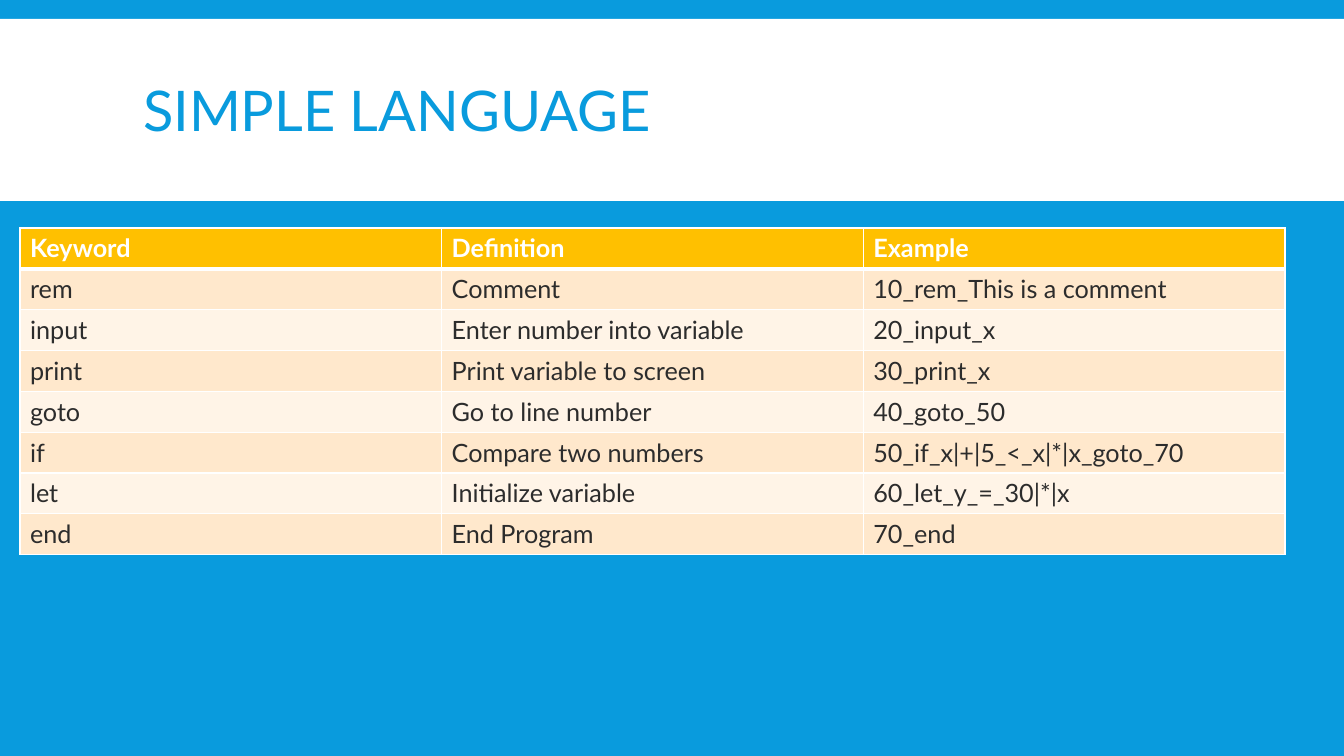
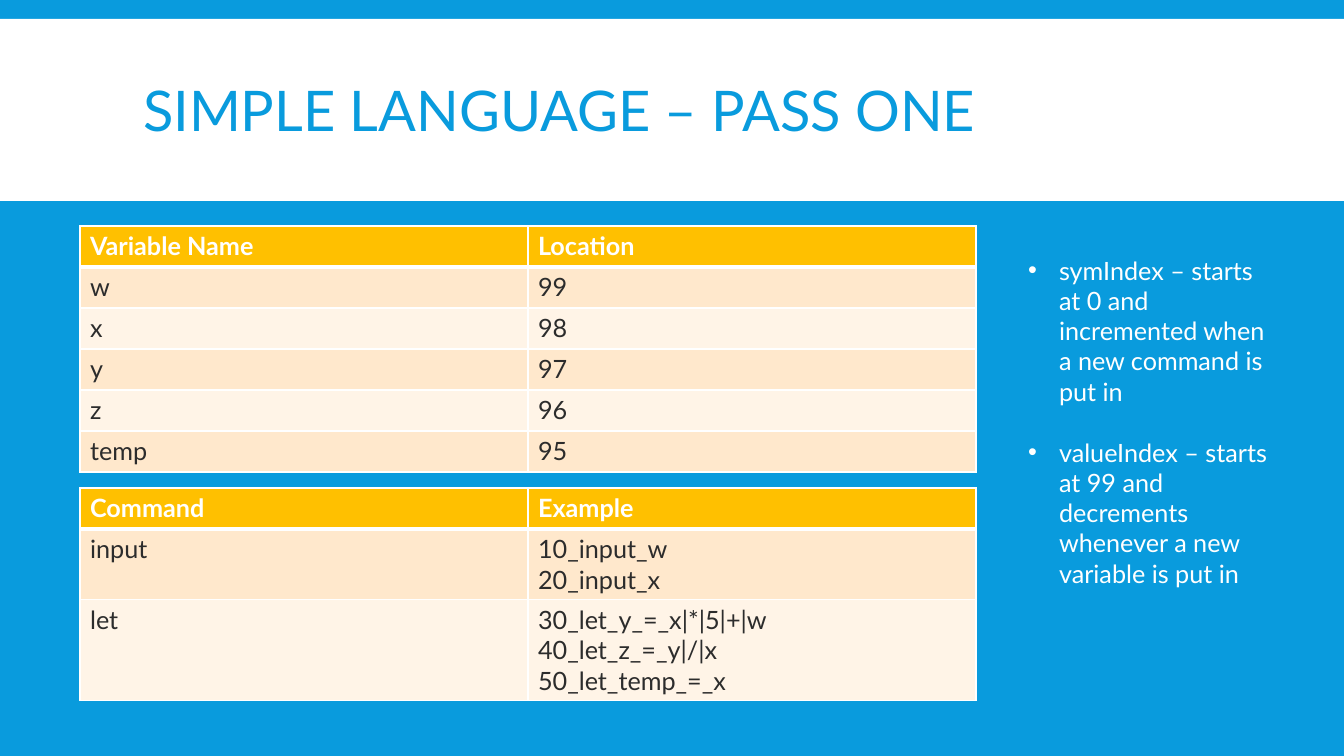
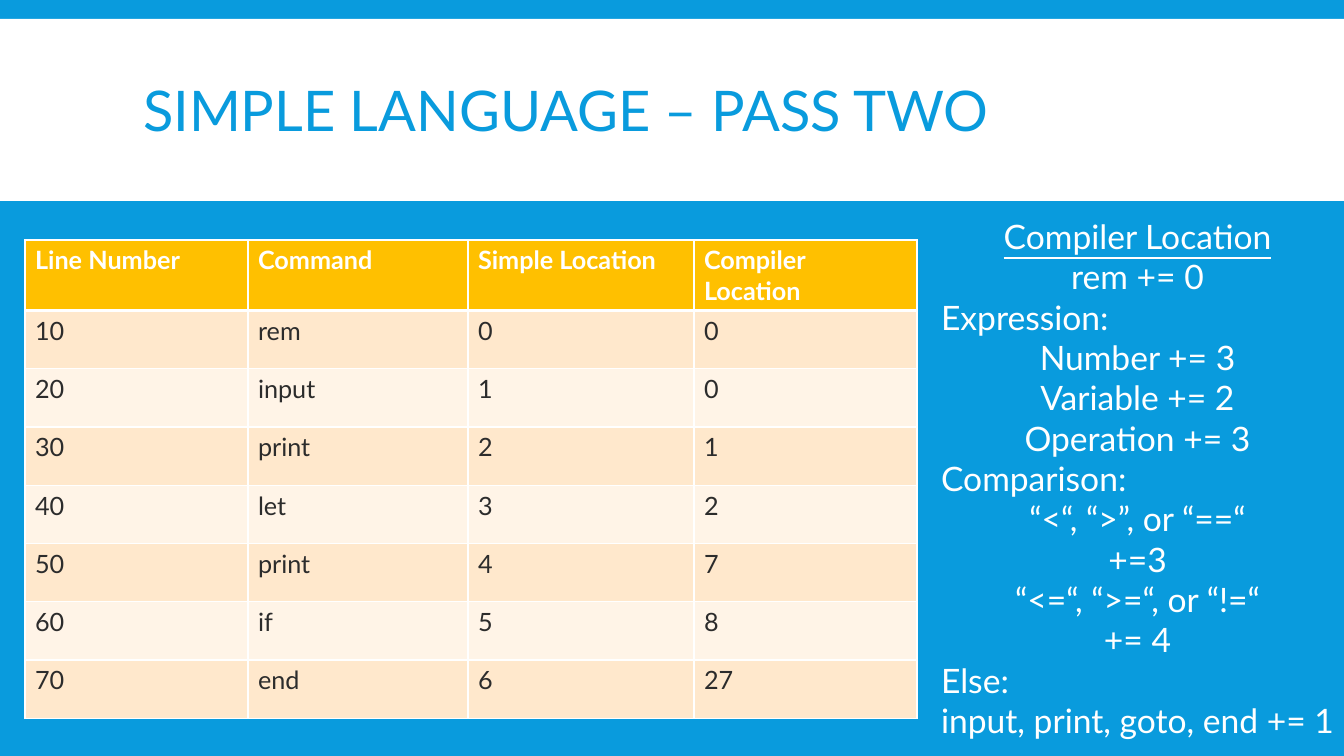
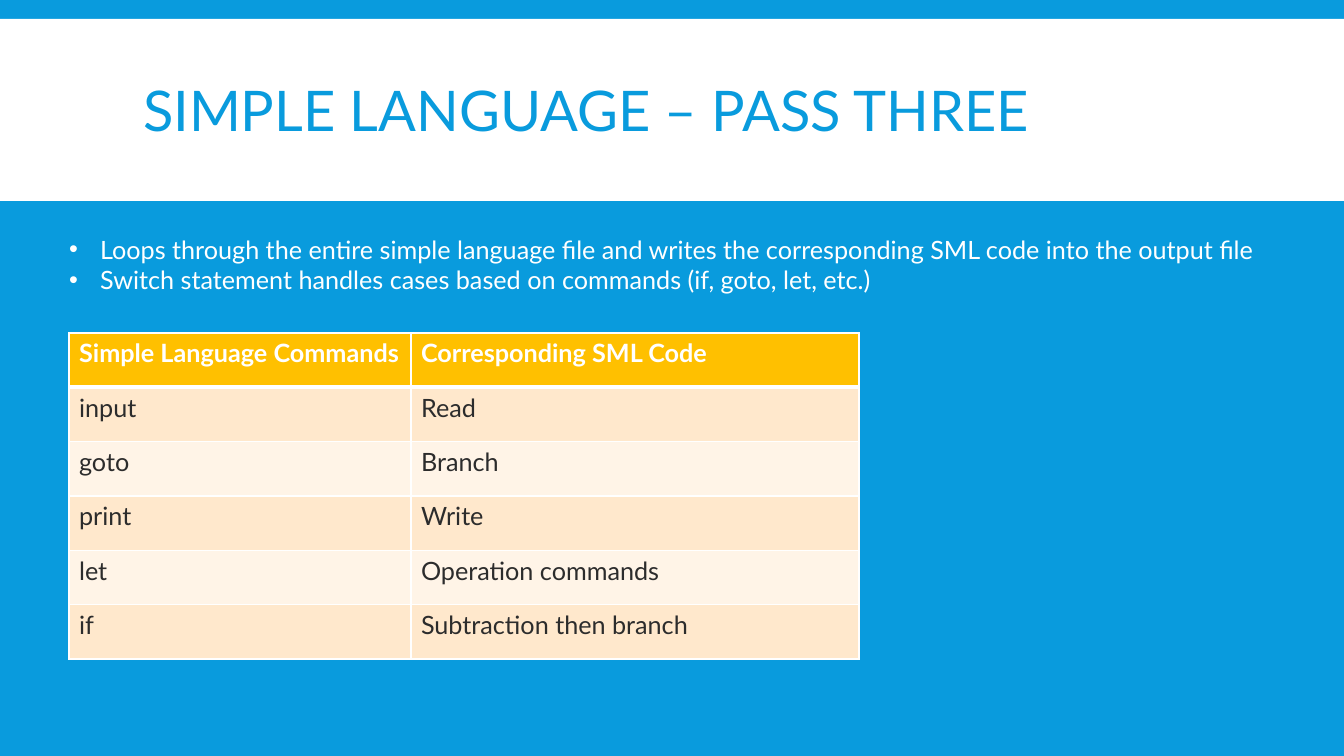
from lxml.etree import SubElement
from pptx import Presentation
from pptx.dml.color import RGBColor
from pptx.enum.shapes import MSO_SHAPE
from pptx.enum.text import MSO_ANCHOR, MSO_AUTO_SIZE, PP_ALIGN
from pptx.oxml.ns import qn
from pptx.util import Pt

SCALE = 914400 / 100.8
WIDE, HIGH = 1344, 756
COLORS = {"blue": "099BDD", "white": "FFFFFF", "gold": "FFC000",
          "peach": "FFE8CC", "cream": "FFF4E7", "ink": "2C2C2C"}
TITLE = {"size": Pt(40), "color": "blue"}
HEAD = {"size": Pt(18), "color": "white", "bold": True}
CELL = {"size": Pt(18), "color": "ink", "bold": False}
LIST = {"size": Pt(18), "color": "white"}
NOTE = {"size": Pt(24), "color": "white"}
TITLE_ONLY, WITH_BODY = 5, 1
INDENT = 31


def px(n):
    return round(n * SCALE)


def rgb(name):
    return RGBColor.from_string(COLORS[name])


def place(shape, box):
    for key, n in zip(("left", "top", "width", "height"), box):
        setattr(shape, key, px(n))


def style(para, form):
    for run in para.runs:
        run.font.name = "Lato"
        for key, value in form.items():
            if key == "color":
                run.font.color.rgb = rgb(value)
            else:
                setattr(run.font, key, value)


# Shared background and white title band, kept on the master
def brand(deck, slide):
    master = deck.slide_master
    master.background.fill.solid()
    master.background.fill.fore_color.rgb = rgb("blue")
    band = slide.shapes.add_shape(MSO_SHAPE.RECTANGLE, 0, 0, 0, 0)
    place(band, (0, 19, WIDE, 182))
    band.shadow.inherit = False
    band.fill.solid()
    band.fill.fore_color.rgb = rgb("white")
    band.line.fill.background()
    master.shapes.element.insert(2, band.element)


# Slide with its title
def page(deck, kind, text):
    slide = deck.slides.add_slide(deck.slide_layouts[kind])
    title = slide.shapes.title
    place(title, (133, 31, 1079, 166))
    frame = title.text_frame
    frame.text = text
    frame.auto_size = MSO_AUTO_SIZE.NONE
    frame.vertical_anchor = MSO_ANCHOR.MIDDLE
    para = frame.paragraphs[0]
    para.alignment = PP_ALIGN.LEFT
    para.line_spacing = 0.85
    style(para, TITLE)
    return slide


# Body text, one paragraph per line
def body(slide, box, lines, form):
    shape = slide.placeholders[1]
    place(shape, box)
    frame = shape.text_frame
    frame.text = "\n".join(lines)
    frame.word_wrap = True
    frame.auto_size = MSO_AUTO_SIZE.NONE
    frame.vertical_anchor = MSO_ANCHOR.TOP
    for para in frame.paragraphs:
        para.space_before = Pt(0)
        para.alignment = PP_ALIGN.LEFT
        style(para, form)
    return frame.paragraphs


def bullets(slide, box, lines, gap=0):
    paras = body(slide, box, lines, LIST)
    for i, para in enumerate(paras):
        para.space_before = Pt(gap if i else 0)
        props = para._p.get_or_add_pPr()
        props.set("marL", str(px(INDENT)))
        props.set("indent", str(-px(INDENT)))
        SubElement(props, qn("a:buFont")).set("typeface", "Arial")
        SubElement(props, qn("a:buChar")).set("char", "•")


def notes(slide, box, lines, flush):
    paras = body(slide, box, lines, NOTE)
    for para in paras:
        props = para._p.get_or_add_pPr()
        props.set("marL", "0")
        props.set("indent", "0")
        SubElement(props, qn("a:buNone"))
        if para.text not in flush:
            para.alignment = PP_ALIGN.CENTER
    paras[0].runs[0].font.underline = True


# White cell borders, widths in points
def border(cell, top, bottom):
    props = cell._tc.get_or_add_tcPr()
    sides = {"a:lnL": 1, "a:lnR": 1, "a:lnT": top, "a:lnB": bottom}
    for i, (tag, width) in enumerate(sides.items()):
        line = SubElement(props, qn(tag))
        line.set("w", str(Pt(width)))
        fill = SubElement(line, qn("a:solidFill"))
        SubElement(fill, qn("a:srgbClr")).set("val", COLORS["white"])
        props.insert(i, line)


# Banded table; cols and tall share out the width and height of the box
def grid(slide, box, rows, cols=None, tall=None):
    cols = cols or [1] * len(rows[0])
    tall = tall or [1] * len(rows)
    x, y, w, h = map(px, box)
    table = slide.shapes.add_table(len(rows), len(cols), x, y, w, h).table
    table.horz_banding = False
    for col, part in zip(table.columns, cols):
        col.width = round(w * part / sum(cols))
    for r, texts in enumerate(rows):
        table.rows[r].height = round(h * tall[r] / sum(tall))
        for c, text in enumerate(texts):
            cell = table.cell(r, c)
            cell.text = text
            cell.fill.solid()
            shade = ("cream", "peach")[r % 2] if r else "gold"
            cell.fill.fore_color.rgb = rgb(shade)
            border(cell, 3 if r == 1 else 1, 1 if r else 3)
            for para in cell.text_frame.paragraphs:
                style(para, CELL if r else HEAD)


# Keywords
def keywords(deck):
    slide = page(deck, TITLE_ONLY, "SIMPLE LANGUAGE")
    brand(deck, slide)
    grid(slide, (20, 228, 1265, 327), [
        ("Keyword", "Definition", "Example"),
        ("rem", "Comment", "10_rem_This is a comment"),
        ("input", "Enter number into variable", "20_input_x"),
        ("print", "Print variable to screen", "30_print_x"),
        ("goto", "Go to line number", "40_goto_50"),
        ("if", "Compare two numbers", "50_if_x|+|5_<_x|*|x_goto_70"),
        ("let", "Initialize variable", "60_let_y_=_30|*|x"),
        ("end", "End Program", "70_end")])


# Pass one: symbols and commands
def first(deck):
    slide = page(deck, WITH_BODY, "SIMPLE LANGUAGE – PASS ONE")
    grid(slide, (80, 226, 896, 246), [
        ("Variable Name", "Location"), ("w", "99"), ("x", "98"),
        ("y", "97"), ("z", "96"), ("temp", "95")])
    grid(slide, (80, 488, 896, 212), [
        ("Command", "Example"),
        ("input", "10_input_w\n20_input_x"),
        ("let", "30_let_y_=_x|*|5|+|w\n40_let_z_=_y|/|x\n50_let_temp_=_x")],
        tall=(41, 70, 101))
    bullets(slide, (1018, 250, 267, 350), [
        "symIndex – starts at 0 and incremented when a new command is put in",
        "valueIndex – starts at 99 and decrements whenever a new variable "
        "is put in"], gap=22)


# Pass two: line locations
def second(deck):
    slide = page(deck, WITH_BODY, "SIMPLE LANGUAGE – PASS TWO")
    grid(slide, (25, 240, 892, 478), [
        ("Line Number", "Command", "Simple Location", "Compiler Location"),
        ("10", "rem", "0", "0"), ("20", "input", "1", "0"),
        ("30", "print", "2", "1"), ("40", "let", "3", "2"),
        ("50", "print", "4", "7"), ("60", "if", "5", "8"),
        ("70", "end", "6", "27")],
        cols=(223, 220, 226, 223), tall=[70] + [58] * 7)
    flush = ("Expression:", "Comparison:", "Else:")
    notes(slide, (931, 211, 413, 545), [
        "Compiler Location", "rem += 0", flush[0], "Number += 3",
        "Variable += 2", "Operation += 3", flush[1],
        "“<“, “>”, or “==“", "+=3", "“<=“, “>=“, or “!=“", "+= 4",
        flush[2], "input, print, goto, end += 1"], flush)


# Pass three: output code
def third(deck):
    slide = page(deck, WITH_BODY, "SIMPLE LANGUAGE – PASS THREE")
    bullets(slide, (59, 229, 1226, 80), [
        "Loops through the entire simple language file and writes the "
        "corresponding SML code into the output file",
        "Switch statement handles cases based on commands "
        "(if, goto, let, etc.)"])
    grid(slide, (69, 333, 790, 326), [
        ("Simple Language Commands", "Corresponding SML Code"),
        ("input", "Read"), ("goto", "Branch"), ("print", "Write"),
        ("let", "Operation commands"), ("if", "Subtraction then branch")],
        cols=(342, 448))


deck = Presentation()
deck.slide_width, deck.slide_height = px(WIDE), px(HIGH)
for build in (keywords, first, second, third):
    build(deck)
deck.save("out.pptx")
